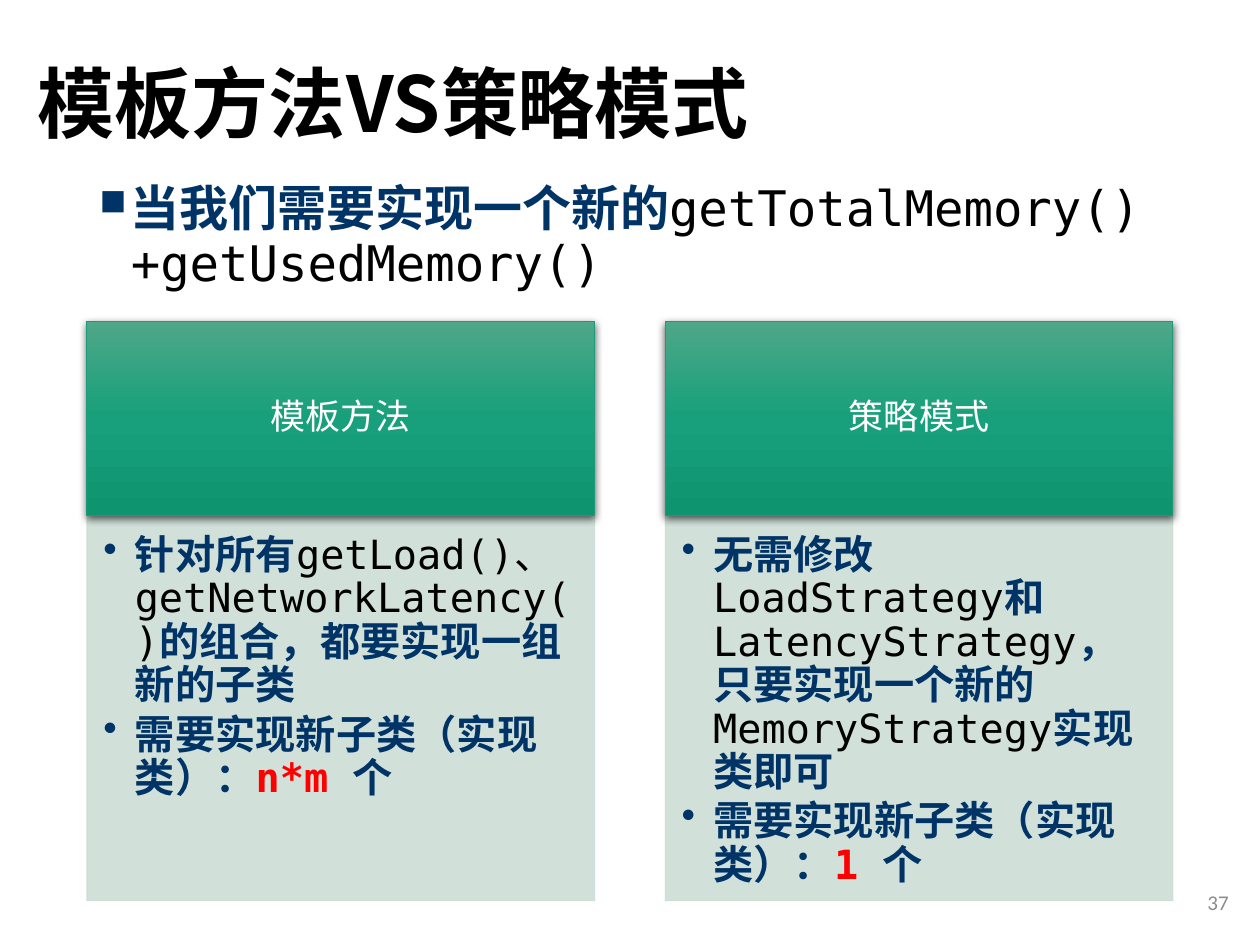
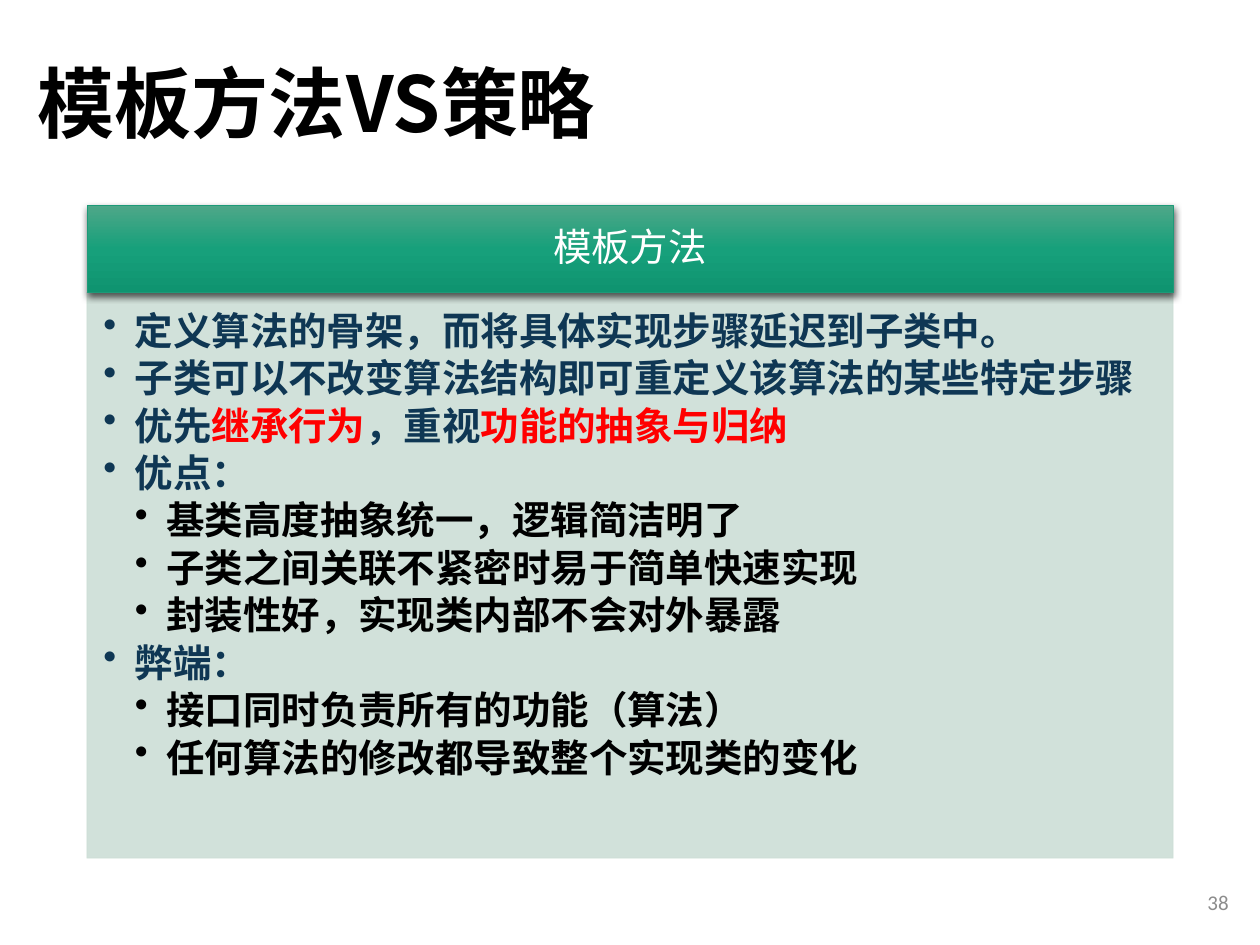
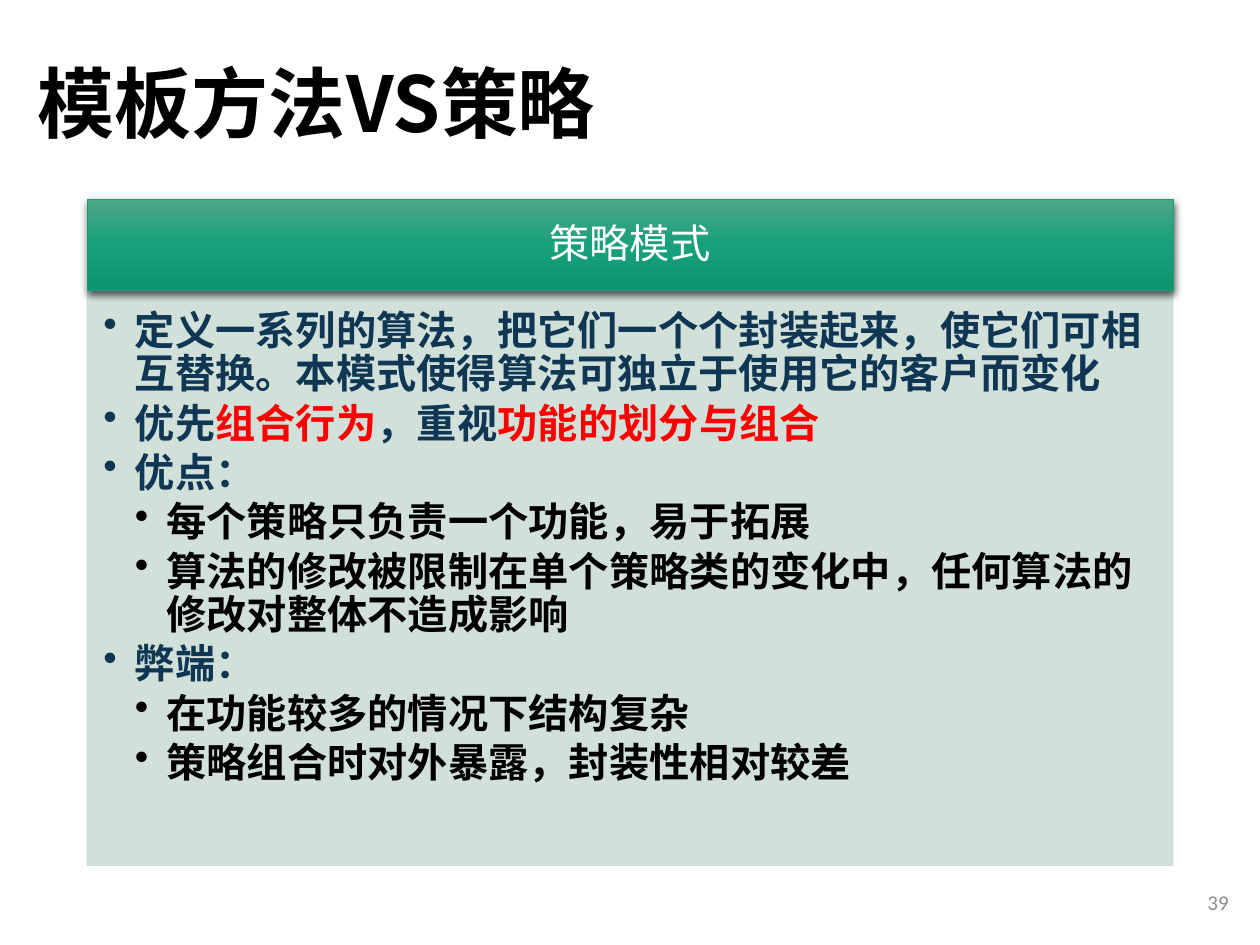
from lxml import etree
from pptx import Presentation
from pptx import util as u
from pptx.dml import color
from pptx.enum import shapes, text
from pptx.oxml import ns
import copy

CJK = "Noto Sans CJK SC"
MONO = "DejaVu Sans Mono"
FOOTER = "Calibri"
BLACK, WHITE, RED, GREY = "000000", "FFFFFF", "FF0000", "8C8C8C"
NAVY, INK = "003366", "0F3754"
BAND_STOPS = [(0, "4EA788"), (0.5, "17A07B"), (1, "0F9470")]
BAND_EDGE, PANEL = "1D9A78", "CDDED6"
LEFT, WIDTH = 0.69, 8.62
INDENT = 0.25


def rgb(value):
    return color.RGBColor.from_string(value)


def add_xml(parent, tag, **attributes):
    return etree.SubElement(parent, ns.qn(tag), attributes)


def words(value):
    return value, NAVY, True


def code(value):
    return value, BLACK, False


def strong(value):
    return value, RED, True


def point(value):
    return 1, [(value, INK, True)]


def detail(value):
    return 2, [(value, BLACK, True)]


def emphasis(lead, first, link, second):
    return 1, [(lead, INK, True), strong(first), (link, INK, True), strong(second)]


class Deck:
    def __init__(self, first_number):
        self.presentation = Presentation()
        self.presentation.slide_width = u.Inches(10)
        self.presentation.slide_height = u.Inches(7.5)
        self.number = first_number
        self.slide = None

    def box(self, left, top, width, height):
        return [u.Inches(value) for value in (left, top, width, height)]

    def style(self, run, size, ink, bold=False, font=CJK):
        run.font.size = u.Pt(size)
        run.font.bold = bold
        run.font.color.rgb = rgb(ink)
        run.font.name = font
        add_xml(run.font._element, "a:ea", typeface=CJK)

    def line(self, frame, wording, size, ink, align, bold=False, font=CJK):
        frame.text = wording
        frame.word_wrap = True
        frame.vertical_anchor = text.MSO_ANCHOR.MIDDLE
        paragraph = frame.paragraphs[0]
        paragraph.alignment = align
        paragraph.line_spacing = 0.9
        self.style(paragraph.runs[0], size, ink, bold, font)

    def bullets(self, frame, items, size, font=CJK, mark="•", mark_scale=100, leading=1.08):
        frame.word_wrap = True
        frame.vertical_anchor = text.MSO_ANCHOR.TOP
        for index, (level, parts) in enumerate(items):
            paragraph = frame.paragraphs[0] if index == 0 else frame.add_paragraph()
            paragraph.level = level
            paragraph.alignment = text.PP_ALIGN.LEFT
            paragraph.line_spacing = u.Pt(round(leading * size, 1))
            paragraph.space_after = u.Pt(round(0.15 * size, 1))
            for wording, ink, bold in parts:
                run = paragraph.add_run()
                run.text = wording
                self.style(run, size, ink, bold, font)
            properties = paragraph._p.get_or_add_pPr()
            properties.set("marL", str(u.Inches(INDENT * max(level, 1))))
            properties.set("indent", str(u.Inches(-INDENT)))
            add_xml(properties, "a:buSzPct", val=str(mark_scale * 1000))
            add_xml(properties, "a:buChar", char=mark)

    def start(self, heading):
        self.slide = self.presentation.slides.add_slide(self.presentation.slide_layouts[5])
        title = self.slide.shapes.title
        title.left, title.top, title.width, title.height = self.box(0.2, 0.13, WIDTH, 1.45)
        self.line(title.text_frame, heading, 44, BLACK, text.PP_ALIGN.LEFT, True)
        title.text_frame.auto_size = text.MSO_AUTO_SIZE.NONE
        footer = self.slide.shapes.add_textbox(*self.box(7.6, 6.97, 2.25, 0.4))
        self.line(footer.text_frame, str(self.number), 12, GREY, text.PP_ALIGN.RIGHT, font=FOOTER)
        self.number += 1

    def intro(self, parts):
        lead = self.slide.shapes.add_textbox(*self.box(LEFT, 1.39, WIDTH, 4.76))
        self.bullets(lead.text_frame, [(0, parts)], 28, MONO, "■", 75, 1.12)

    def rectangle(self, bounds, edge):
        block = self.slide.shapes.add_shape(shapes.MSO_SHAPE.RECTANGLE, *self.box(*bounds))
        block.shadow.inherit = False
        block.line.color.rgb = rgb(edge)
        block.line.width = u.Pt(0.5)
        return block

    def band(self, bounds, caption, size):
        header = self.rectangle(bounds, BAND_EDGE)
        header.fill.gradient()
        header.fill.gradient_angle = 270
        properties = header._element.spPr
        stops = properties.find(".//" + ns.qn("a:gsLst"))
        stops.append(copy.deepcopy(stops[-1]))
        for stop, (position, shade) in zip(header.fill.gradient_stops, BAND_STOPS):
            stop.position = position
            stop.color.rgb = rgb(shade)
        shadow = add_xml(properties.find(ns.qn("a:effectLst")), "a:outerShdw",
                         blurRad=str(u.Pt(4.5)), dist=str(u.Pt(1.5)),
                         dir="5400000", rotWithShape="0")
        add_xml(add_xml(shadow, "a:srgbClr", val=BLACK), "a:alpha", val="63000")
        self.line(header.text_frame, caption, size, WHITE, text.PP_ALIGN.CENTER)

    def panel(self, bounds, items, size, font):
        body = self.rectangle(bounds, PANEL)
        body.fill.solid()
        body.fill.fore_color.rgb = rgb(PANEL)
        for shade in body._element.spPr.iter(ns.qn("a:srgbClr")):
            add_xml(shade, "a:alpha", val="90000")
        frame = body.text_frame
        frame.margin_left, frame.margin_top, frame.margin_right, frame.margin_bottom = self.box(
            0.13, 0.15, 0.18, 0.2)
        self.bullets(frame, items, size, font)

    def card(self, left, top, width, band_height, panel_height, caption, caption_size,
             items, size, font=CJK):
        self.panel((left, top + band_height, width, panel_height), items, size, font)
        self.band((left, top, width, band_height), caption, caption_size)


def main():
    deck = Deck(37)

    deck.start("模板方法VS策略模式")
    deck.intro([words("当我们需要实现一个新的"), code("getTotalMemory()+getUsedMemory()")])
    cost = words("需要实现新子类（实现类）：")
    comparison = [
        ("模板方法", [
            (1, [words("针对所有"), code("getLoad()、getNetworkLatency()"),
                 words("的组合，都要实现一组新的子类")]),
            (1, [cost, strong("n*m "), words("个")]),
        ]),
        ("策略模式", [
            (1, [words("无需修改"), code("LoadStrategy"), words("和"), code("LatencyStrategy"),
                 words("，只要实现一个新的"), code("MemoryStrategy"), words("实现类即可")]),
            (1, [cost, strong("1 "), words("个")]),
        ]),
    ]
    column = 4.03
    pitch = WIDTH - column
    for index, (caption, items) in enumerate(comparison):
        deck.card(LEFT + index * pitch, 2.55, column, 1.54, 3.06, caption, 20, items, 23, MONO)

    deck.start("模板方法VS策略")
    deck.card(LEFT, 1.63, WIDTH, 0.69, 4.49, "模板方法", 22, [
        point("定义算法的骨架，而将具体实现步骤延迟到子类中。"),
        point("子类可以不改变算法结构即可重定义该算法的某些特定步骤"),
        emphasis("优先", "继承行为", "，重视", "功能的抽象与归纳"),
        point("优点："),
        detail("基类高度抽象统一，逻辑简洁明了"),
        detail("子类之间关联不紧密时易于简单快速实现"),
        detail("封装性好，实现类内部不会对外暴露"),
        point("弊端："),
        detail("接口同时负责所有的功能（算法）"),
        detail("任何算法的修改都导致整个实现类的变化"),
    ], 22)

    deck.start("模板方法VS策略")
    deck.card(LEFT, 1.58, WIDTH, 0.73, 4.56, "策略模式", 23, [
        point("定义一系列的算法，把它们一个个封装起来，使它们可相互替换。"
              "本模式使得算法可独立于使用它的客户而变化"),
        emphasis("优先", "组合行为", "，重视", "功能的划分与组合"),
        point("优点："),
        detail("每个策略只负责一个功能，易于拓展"),
        detail("算法的修改被限制在单个策略类的变化中，任何算法的修改对整体不造成影响"),
        point("弊端："),
        detail("在功能较多的情况下结构复杂"),
        detail("策略组合时对外暴露，封装性相对较差"),
    ], 23)

    deck.presentation.save("out.pptx")


if __name__ == "__main__":
    main()
